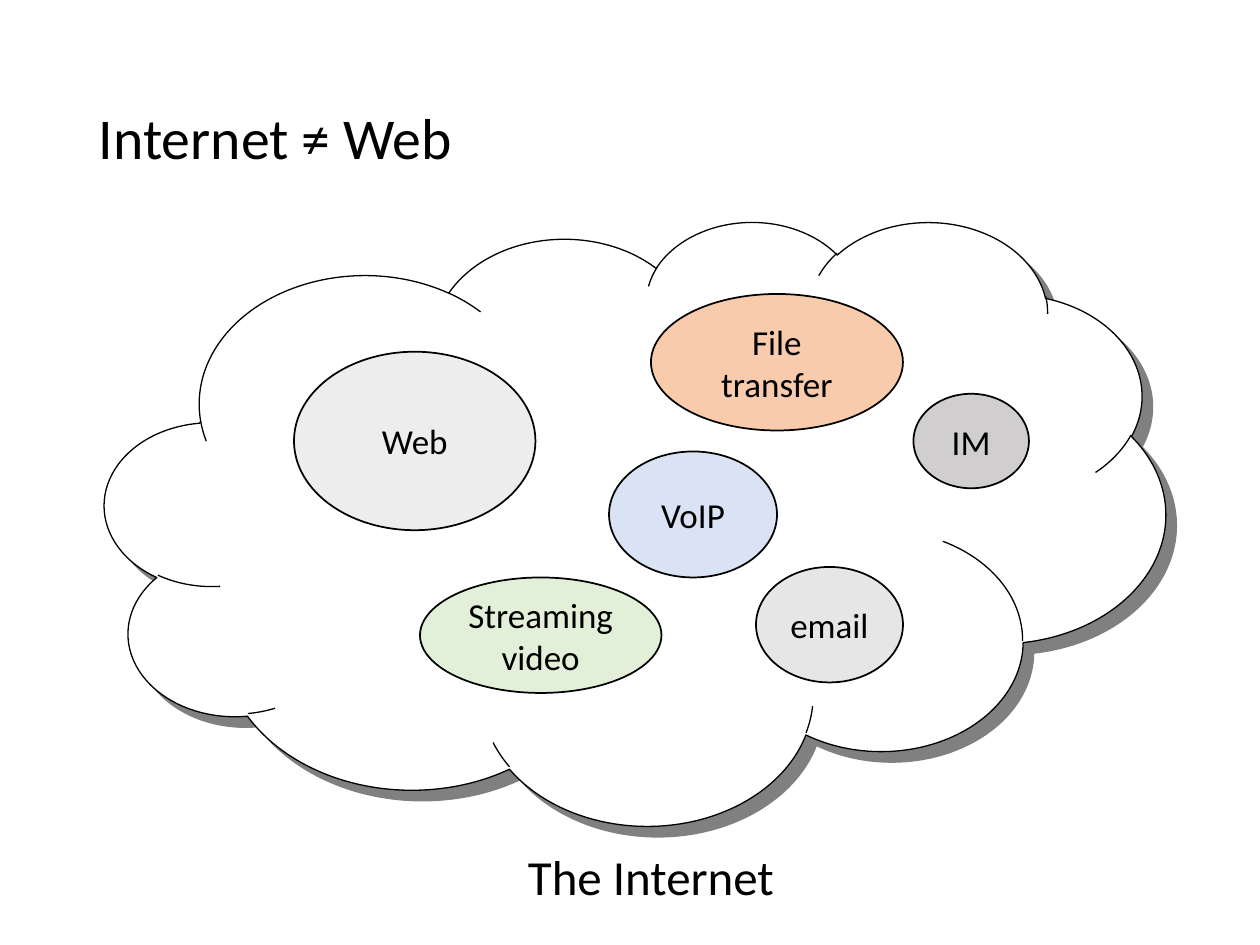
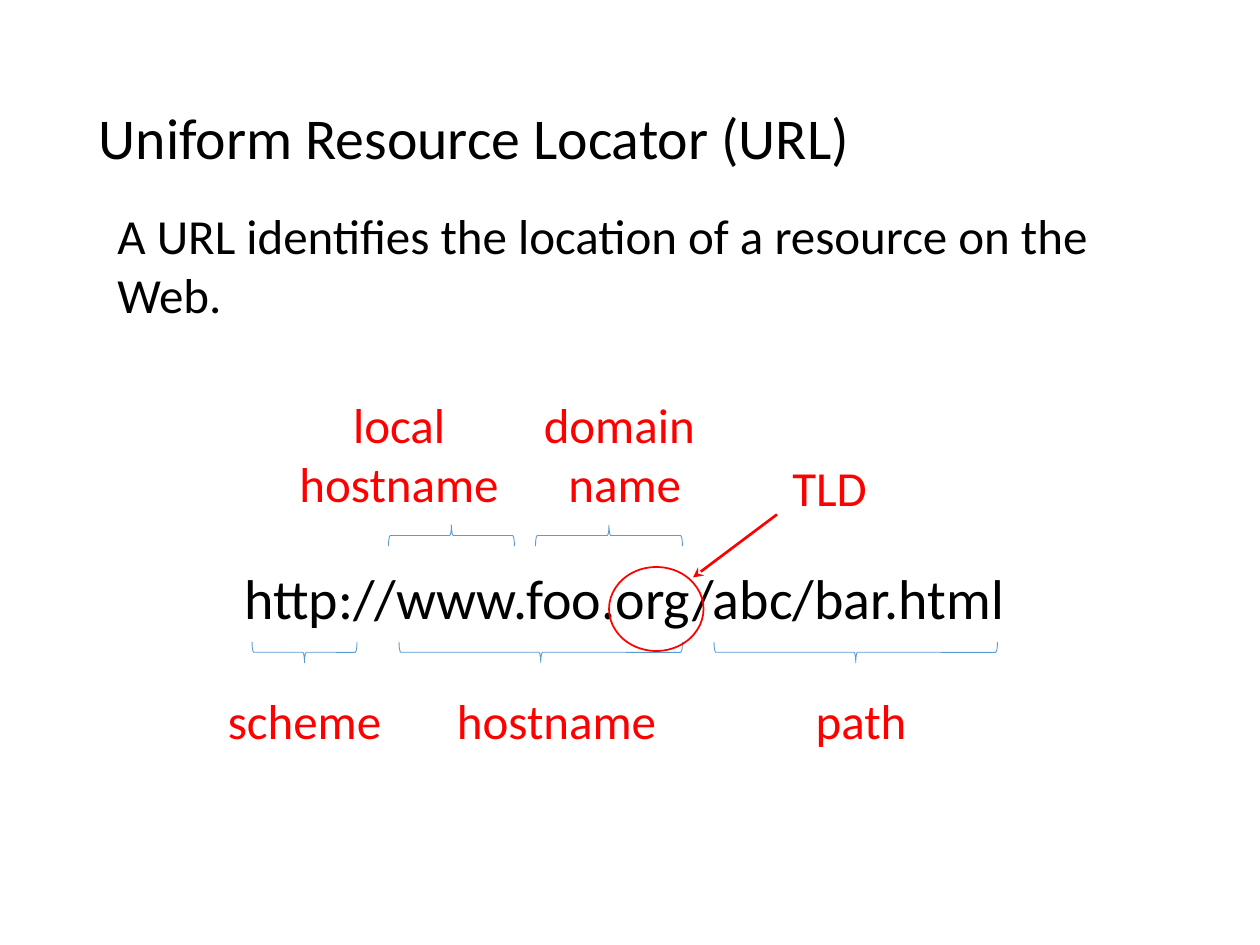
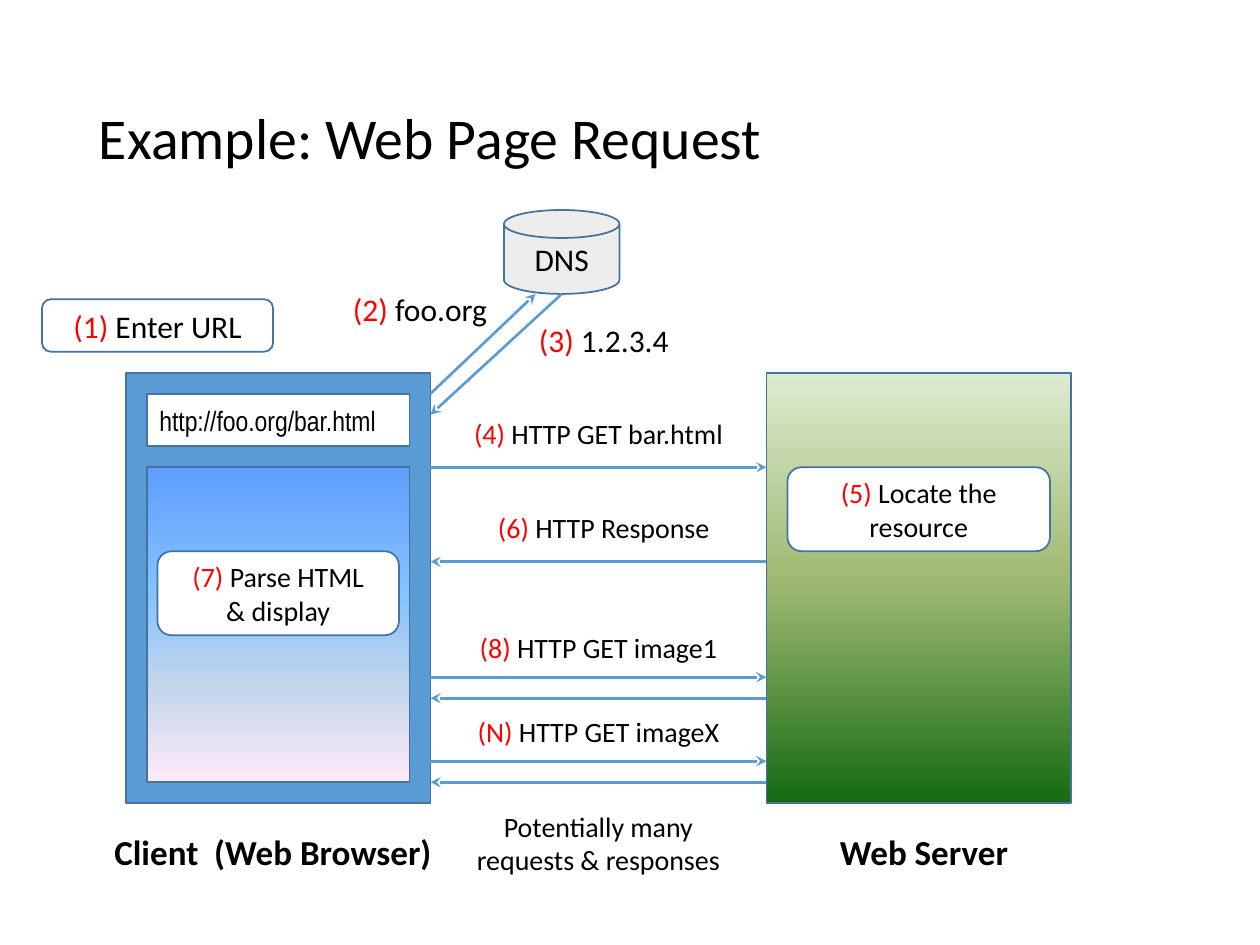
import dataclasses
import typing

import lxml.etree
import pptx
import pptx.dml.color
import pptx.enum.shapes
import pptx.enum.text
import pptx.oxml.ns
import pptx.slide
import pptx.util

Color = pptx.dml.color.RGBColor
Kind = pptx.enum.shapes.MSO_SHAPE
Align = pptx.enum.text.PP_ALIGN
Anchor = pptx.enum.text.MSO_ANCHOR

BLACK = Color(0x00, 0x00, 0x00)
WHITE = Color(0xFF, 0xFF, 0xFF)
RED = Color(0xFF, 0x00, 0x00)
BLUE = Color(0x5B, 0x9B, 0xD5)
NAVY = Color(0x43, 0x73, 0x9E)
SHADE = Color(0x80, 0x80, 0x80)
PALE = Color(0xED, 0xED, 0xED)
ICE = Color(0xDA, 0xE3, 0xF3)
MIST = Color(0xE7, 0xE6, 0xE6)
GREY = Color(0xD0, 0xCE, 0xCE)
MINT = Color(0xE2, 0xF0, 0xD9)
PEACH = Color(0xF8, 0xCB, 0xAD)

Stops = tuple[tuple[int, Color], ...]
SKY: Stops = (
    (0, Color(0x5E, 0x9E, 0xFF)),
    (40, Color(0x85, 0xC2, 0xFF)),
    (70, Color(0xC4, 0xD6, 0xEB)),
    (100, Color(0xFF, 0xEB, 0xFA)),
)
LEAF: Stops = (
    (0, Color(0xDD, 0xEB, 0xCF)),
    (50, Color(0x9C, 0xB8, 0x6E)),
    (100, Color(0x15, 0x6B, 0x13)),
)

EMU = 9525
FONT = "Calibri"


class Rect(typing.NamedTuple):
    left: int
    top: int
    width: int
    height: int


@dataclasses.dataclass(frozen=True)
class Text:
    words: str
    size: int
    step: str = ""
    color: Color = BLACK
    font: str = FONT
    bold: bool = False
    align: Align = Align.CENTER


@dataclasses.dataclass(frozen=True)
class Box:
    kind: Kind
    rect: Rect
    fill: Color | Stops | None = None
    line: Color = NAVY
    width: float = 1
    text: Text | None = None
    turn: int = 0


@dataclasses.dataclass(frozen=True)
class Note:
    rect: Rect
    text: Text


@dataclasses.dataclass(frozen=True)
class Arrow:
    start: tuple[int, int]
    end: tuple[int, int]
    color: Color = BLUE


TITLE = Rect(66, 38, 828, 139)


def scale(*sizes: float) -> list[int]:
    return [round(size * EMU) for size in sizes]


def apply(target: typing.Any, values: dict[str, typing.Any]) -> None:
    for name, value in values.items():
        setattr(target, name, value)


def add_node(parent: typing.Any, tag: str, **marks: str) -> typing.Any:
    node = lxml.etree.SubElement(parent, pptx.oxml.ns.qn(tag))
    for name, value in marks.items():
        node.set(name, value)
    return node


def write(frame: typing.Any, text: Text) -> typing.Any:
    frame.word_wrap = True
    para = frame.paragraphs[0]
    para.alignment = text.align
    for words, color in ((text.step, RED), (text.words, text.color)):
        for part, line in enumerate(words.split("\n")):
            if part:
                para.add_line_break()
            if line:
                run = para.add_run()
                run.text = line
                size = pptx.util.Pt(text.size)
                apply(run.font, {"size": size, "name": text.font, "bold": text.bold})
                run.font.color.rgb = color
    return para


def add_note(slide: pptx.slide.Slide, note: Note) -> typing.Any:
    shape = slide.shapes.add_textbox(*scale(*note.rect))
    write(shape.text_frame, note.text)
    return shape


def paint(shape: typing.Any, fill: Color | Stops | None) -> None:
    if fill is None:
        shape.fill.background()
    elif isinstance(fill, Color):
        shape.fill.solid()
        shape.fill.fore_color.rgb = fill
    else:
        shape.fill.gradient()
        shape.fill.gradient_angle = 270
        stops = shape._element.spPr.find(".//" + pptx.oxml.ns.qn("a:gsLst"))
        for old in list(stops):
            stops.remove(old)
        for place, color in fill:
            stop = add_node(stops, "a:gs", pos=str(place * 1000))
            add_node(stop, "a:srgbClr", val=str(color))


def add_box(slide: pptx.slide.Slide, box: Box) -> typing.Any:
    shape = slide.shapes.add_shape(box.kind, *scale(*box.rect))
    paint(shape, box.fill)
    shape.line.color.rgb = box.line
    shape.line.width = pptx.util.Pt(box.width)
    shape.shadow.inherit = False
    shape.rotation = box.turn
    if box.text:
        shape.text_frame.vertical_anchor = Anchor.MIDDLE
        write(shape.text_frame, box.text)
    return shape


def add_arrow(slide: pptx.slide.Slide, arrow: Arrow) -> None:
    straight = pptx.enum.shapes.MSO_CONNECTOR.STRAIGHT
    line = slide.shapes.add_connector(straight, *scale(*arrow.start, *arrow.end))
    line.line.color.rgb = arrow.color
    line.line.width = pptx.util.Pt(1.5)
    add_node(line.line._get_or_add_ln(), "a:tailEnd", type="stealth")
    add_node(line._element.spPr, "a:effectLst")


def add_brace(slide: pptx.slide.Slide, left: int, top: int, width: int, turn: int) -> None:
    depth = 16
    shift = (width - depth) // 2
    rect = Rect(left + shift, top - shift, depth, width)
    add_box(slide, Box(Kind.RIGHT_BRACE, rect, line=BLUE, width=0.5, turn=turn))


def add_slide(deck: typing.Any, title: str) -> pptx.slide.Slide:
    slide = deck.slides.add_slide(deck.slide_layouts[6])
    shape = slide.shapes.add_textbox(*scale(*TITLE))
    shape.text_frame.vertical_anchor = Anchor.MIDDLE
    para = write(shape.text_frame, Text(title, 33, align=Align.LEFT))
    para.line_spacing = 0.9
    return slide


def draw_net(deck: typing.Any) -> None:
    slide = add_slide(deck, "Internet ≠ Web")
    cloud = add_box(slide, Box(Kind.CLOUD, Rect(80, 168, 808, 460), WHITE, BLACK, 0.75))
    effects = cloud._element.spPr.find(pptx.oxml.ns.qn("a:effectLst"))
    shadow = add_node(
        effects,
        "a:outerShdw",
        dist=str(pptx.util.Pt(8.5)),
        dir=str(45 * 60000),
        algn="ctr",
        rotWithShape="0",
    )
    add_node(shadow, "a:srgbClr", val=str(SHADE))
    for words, rect, fill in (
        ("Web", Rect(224, 268, 184, 136), PALE),
        ("VoIP", Rect(464, 344, 128, 96), ICE),
        ("email", Rect(576, 432, 112, 88), MIST),
        ("IM", Rect(696, 300, 88, 72), GREY),
        ("Streaming video", Rect(320, 440, 184, 88), MINT),
        ("File transfer", Rect(496, 224, 192, 104), PEACH),
    ):
        add_box(slide, Box(Kind.OVAL, rect, fill, BLACK, text=Text(words, 20)))
    add_note(slide, Note(Rect(304, 640, 384, 55), Text("The Internet", 28)))


def draw_url(deck: typing.Any) -> None:
    slide = add_slide(deck, "Uniform Resource Locator (URL)")
    intro = Text("A URL identifies the location of a resource on the Web.", 28, align=Align.LEFT)
    add_note(slide, Note(Rect(80, 152, 800, 100), intro))
    add_note(slide, Note(Rect(144, 425, 664, 61), Text("http://www.foo.org/abc/bar.html", 32)))
    for left, width in ((192, 80), (304, 216), (544, 216)):
        add_brace(slide, left, 489, width, 90)
    for left, width in ((296, 96), (408, 112)):
        add_brace(slide, left, 400, width, 270)
    for words, rect in (
        ("scheme", Rect(144, 521, 176, 55)),
        ("hostname", Rect(328, 521, 192, 55)),
        ("path", Rect(568, 521, 176, 55)),
        ("local\nhostname", Rect(192, 296, 224, 100)),
        ("domain \nname", Rect(368, 296, 216, 100)),
        ("TLD", Rect(568, 344, 128, 55)),
    ):
        add_note(slide, Note(rect, Text(words, 28, color=RED)))
    add_box(slide, Box(Kind.OVAL, Rect(464, 432, 72, 64), line=RED))
    add_arrow(slide, Arrow((592, 392), (528, 440), RED))


def draw_page(deck: typing.Any) -> None:
    slide = add_slide(deck, "Example: Web Page Request")
    client = Rect(96, 284, 232, 328)
    server = client._replace(left=584)
    near = client.left + client.width
    far = server.left
    link = Text("http://foo.org/bar.html", 16, font="Arial Narrow", align=Align.LEFT)
    plain, round_ = Kind.RECTANGLE, Kind.ROUNDED_RECTANGLE
    for box in (
        Box(plain, client, BLUE),
        Box(plain, Rect(112, 300, 200, 40), WHITE, text=link),
        Box(plain, Rect(112, 356, 200, 240), SKY),
        Box(plain, server, LEAF),
        Box(round_, Rect(32, 228, 176, 40), WHITE, text=Text("Enter URL", 18, "(1) ")),
        Box(round_, Rect(600, 356, 200, 64), WHITE, text=Text("Locate the resource", 16, "(5) ")),
        Box(round_, Rect(120, 420, 184, 64), WHITE, text=Text("Parse HTML\n& display", 16, "(7) ")),
        Box(Kind.FLOWCHART_MAGNETIC_DISK, Rect(384, 160, 88, 64), PALE, text=Text("DNS", 18)),
    ):
        add_box(slide, box)
    for y in (356, 516, 580):
        add_arrow(slide, Arrow((near, y), (far, y)))
    for y in (428, 532, 596):
        add_arrow(slide, Arrow((far, y), (near, y)))
    add_arrow(slide, Arrow((near, 300), (408, 224)))
    add_arrow(slide, Arrow((428, 224), (near, 316)))
    for rect, text in (
        (Rect(72, 628, 272, 42), Text("Client  (Web Browser)", 20, bold=True)),
        (Rect(584, 628, 240, 42), Text("Web Server", 20, bold=True)),
        (Rect(224, 216, 192, 38), Text("foo.org", 18, "(2) ")),
        (Rect(400, 240, 120, 38), Text("1.2.3.4", 18, "(3) ")),
        (Rect(336, 313, 240, 36), Text("HTTP GET bar.html", 16, "(4) ")),
        (Rect(344, 384, 232, 36), Text("HTTP Response", 16, "(6) ")),
        (Rect(336, 476, 240, 36), Text("HTTP GET image1", 16, "(8) ")),
        (Rect(336, 540, 240, 36), Text("HTTP GET imageX", 16, "(N) ")),
        (Rect(336, 612, 240, 61), Text("Potentially many requests & responses", 16)),
    ):
        add_note(slide, Note(rect, text))


def main() -> None:
    deck = pptx.Presentation()
    width, height = scale(960, 720)
    apply(deck, {"slide_width": width, "slide_height": height})
    for draw in (draw_net, draw_url, draw_page):
        draw(deck)
    deck.save("out.pptx")


if __name__ == "__main__":
    main()
